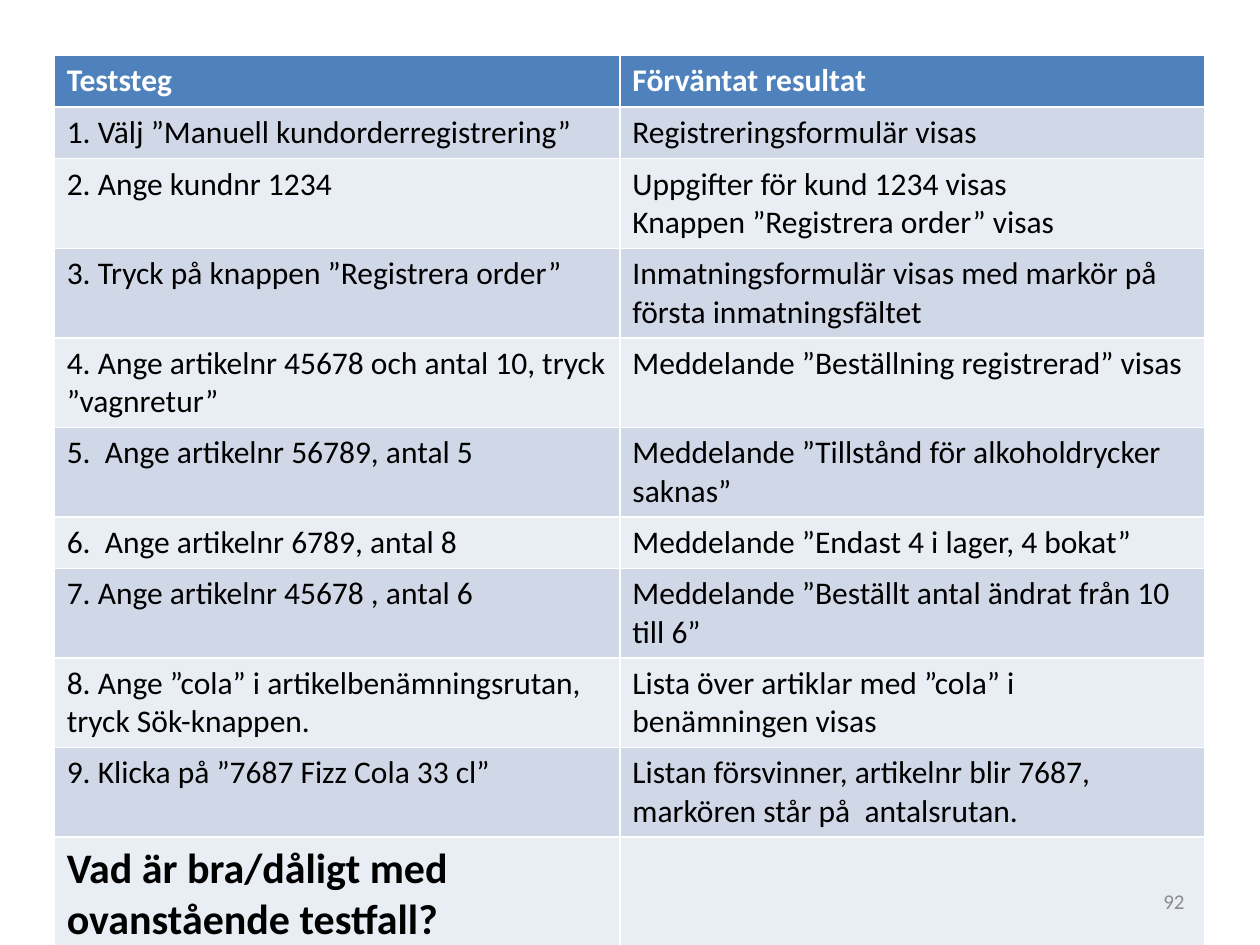
from typing import NamedTuple

from pptx import Presentation
from pptx.dml.color import RGBColor
from pptx.enum.text import MSO_ANCHOR, PP_ALIGN
from pptx.util import Inches, Pt

LEFT = PP_ALIGN.LEFT
RIGHT = PP_ALIGN.RIGHT
MIDDLE = MSO_ANCHOR.MIDDLE

FONT = "Calibri"
WHITE = RGBColor(0xFF, 0xFF, 0xFF)
BLACK = RGBColor(0x00, 0x00, 0x00)
GRAY = RGBColor(0x8C, 0x8C, 0x8C)
HEADER_BLUE = RGBColor(0x4F, 0x81, 0xBD)
BANDS = (RGBColor(0xE9, 0xED, 0xF4), RGBColor(0xD0, 0xD8, 0xE8))

BLANK_LAYOUT = 6
COL_WIDTHS = (4.49, 4.64)
ROW_HEIGHT = 0.41
TABLE_HEIGHT = 7.02


class TestStep(NamedTuple):
    action: str
    expected: str


HEADER = TestStep("Teststeg", "Förväntat resultat")
STEPS = [
    TestStep("1. Välj ”Manuell kundorderregistrering”", "Registreringsformulär visas"),
    TestStep("2. Ange kundnr 1234",
             "Uppgifter för kund 1234 visas\nKnappen ”Registrera order” visas"),
    TestStep("3. Tryck på knappen ”Registrera order”",
             "Inmatningsformulär visas med markör på första inmatningsfältet"),
    TestStep("4. Ange artikelnr 45678 och antal 10, tryck ”vagnretur”",
             "Meddelande ”Beställning registrerad” visas"),
    TestStep("5.  Ange artikelnr 56789, antal 5",
             "Meddelande ”Tillstånd för alkoholdrycker saknas”"),
    TestStep("6.  Ange artikelnr 6789, antal 8", "Meddelande ”Endast 4 i lager, 4 bokat”"),
    TestStep("7. Ange artikelnr 45678 , antal 6",
             "Meddelande ”Beställt antal ändrat från 10 till 6”"),
    TestStep("8. Ange ”cola” i artikelbenämningsrutan, tryck Sök-knappen.",
             "Lista över artiklar med ”cola” i benämningen visas"),
    TestStep("9. Klicka på ”7687 Fizz Cola 33 cl”",
             "Listan försvinner, artikelnr blir 7687, markören står på  antalsrutan."),
]
QUESTION = TestStep("Vad är bra/dåligt med ovanstående testfall?", "")


def write_text(tf, text: str, *, size: float = 18, color: RGBColor = BLACK,
               bold: bool = False, align: PP_ALIGN = LEFT) -> None:
    tf.word_wrap = True
    tf.text = text
    for p in tf.paragraphs:
        p.alignment = align
        for r in p.runs:
            r.font.name = FONT
            r.font.size = Pt(size)
            r.font.bold = bold
            r.font.color.rgb = color


def fill_row(table, row: int, step: TestStep, fill: RGBColor, **fmt) -> None:
    table.rows[row].height = Inches(ROW_HEIGHT)
    for col, text in enumerate(step):
        cell = table.cell(row, col)
        cell.fill.solid()
        cell.fill.fore_color.rgb = fill
        write_text(cell.text_frame, text, **fmt)


def add_test_table(slide) -> None:
    n_rows = len(STEPS) + 2
    frame = slide.shapes.add_table(n_rows, len(COL_WIDTHS), Inches(0.43), Inches(0.44),
                                   Inches(sum(COL_WIDTHS)), Inches(TABLE_HEIGHT))
    table = frame.table
    for column, width in zip(table.columns, COL_WIDTHS):
        column.width = Inches(width)
    fill_row(table, 0, HEADER, HEADER_BLUE, color=WHITE, bold=True)
    for row, step in enumerate(STEPS, start=1):
        fill_row(table, row, step, BANDS[row % 2])
    last = n_rows - 1
    fill_row(table, last, QUESTION, BANDS[last % 2], size=24, bold=True)
    frame.height = Inches(TABLE_HEIGHT)


def add_page_number(slide, number: str) -> None:
    sp = slide.shapes.add_textbox(Inches(7.17), Inches(6.95), Inches(2.33), Inches(0.4))
    tf = sp.text_frame
    tf.vertical_anchor = MIDDLE
    write_text(tf, number, size=12, color=GRAY, align=RIGHT)


def main() -> None:
    prs = Presentation()
    prs.slide_width = Inches(10)
    prs.slide_height = Inches(7.5)
    slide = prs.slides.add_slide(prs.slide_layouts[BLANK_LAYOUT])
    add_test_table(slide)
    add_page_number(slide, "92")
    prs.save("out.pptx")


if __name__ == "__main__":
    main()
